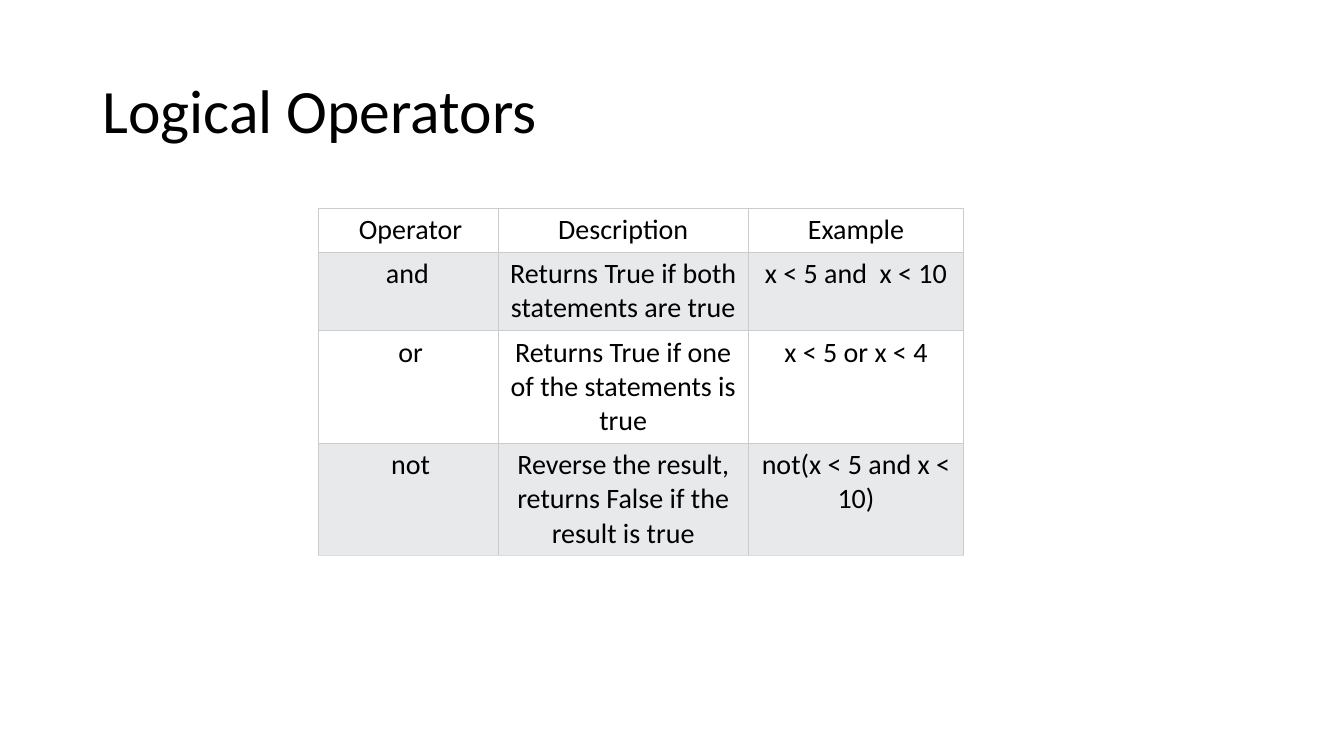
from dataclasses import dataclass

from lxml import etree
from pptx import Presentation
from pptx.dml.color import RGBColor
from pptx.enum.text import MSO_ANCHOR, PP_ALIGN
from pptx.oxml.ns import qn
from pptx.util import Pt

LEFT, CENTER = PP_ALIGN.LEFT, PP_ALIGN.CENTER
MIDDLE = MSO_ANCHOR.MIDDLE
BLANK_LAYOUT = 6


@dataclass(frozen=True)
class Theme:
    font: str = "Calibri"
    title_size: float = 44
    cell_size: float = 20
    cell_line: float = 24.4
    text: str = "000000"
    background: str = "FFFFFF"
    band: str = "E7E9EB"
    border: str = "CCCCCC"
    bottom_border: str = "DDDDDD"
    border_width: float = 0.43
    cell_margin: float = 3.6
    first_margin: float = 7.2


THEME = Theme()

OPERATORS = [
    ("Operator", "Description", "Example"),
    ("and ", "Returns True if both statements are true", "x < 5 and  x < 10"),
    ("or", "Returns True if one of the statements is true", "x < 5 or x < 4"),
    ("not", "Reverse the result, returns False if the result is true",
     "not(x < 5 and x < 10)"),
]
COLUMN_WIDTHS = (128.2, 179.2, 153.4)
ROW_LINES = (1, 2, 3, 3)


def write_text(frame, text, *, size, align=LEFT, spacing=1.0):
    frame.word_wrap = True
    paragraph = frame.paragraphs[0]
    paragraph.alignment = align
    paragraph.line_spacing = spacing
    run = paragraph.add_run()
    run.text = text
    run.font.name = THEME.font
    run.font.size = Pt(size)
    run.font.color.rgb = RGBColor.from_string(THEME.text)


def add_title(slide, text, left, top, width, height):
    shape = slide.shapes.add_textbox(Pt(left), Pt(top), Pt(width), Pt(height))
    shape.text_frame.vertical_anchor = MIDDLE
    write_text(shape.text_frame, text, size=THEME.title_size, spacing=0.9)


def set_borders(cell, bottom_color):
    """Draw all four sides; the lines must come before the fill in the XML."""
    properties = cell._tc.get_or_add_tcPr()
    for position, side in enumerate(("lnL", "lnR", "lnT", "lnB")):
        line = etree.Element(qn(f"a:{side}"), w=str(Pt(THEME.border_width)))
        fill = etree.SubElement(line, qn("a:solidFill"))
        color = bottom_color if side == "lnB" else THEME.border
        etree.SubElement(fill, qn("a:srgbClr"), val=color)
        properties.insert(position, line)


def fill_cell(cell, text, *, fill, left_margin, bottom_color):
    cell.margin_left = Pt(left_margin)
    cell.margin_right = cell.margin_top = cell.margin_bottom = Pt(THEME.cell_margin)
    cell.fill.solid()
    cell.fill.fore_color.rgb = RGBColor.from_string(fill)
    set_borders(cell, bottom_color)
    write_text(cell.text_frame, text, size=THEME.cell_size, align=CENTER)


def add_operator_table(slide, rows, left, top):
    heights = [lines * THEME.cell_line + 2 * THEME.cell_margin for lines in ROW_LINES]
    table = slide.shapes.add_table(
        len(rows), len(COLUMN_WIDTHS), Pt(left), Pt(top),
        Pt(sum(COLUMN_WIDTHS)), Pt(sum(heights))).table
    table.first_row = table.horz_banding = False
    for column, width in zip(table.columns, COLUMN_WIDTHS):
        column.width = Pt(width)
    for row_index, (texts, height) in enumerate(zip(rows, heights)):
        table.rows[row_index].height = Pt(height)
        is_last = row_index == len(rows) - 1
        for column_index, text in enumerate(texts):
            fill_cell(
                table.cell(row_index, column_index), text,
                fill=THEME.band if row_index % 2 else THEME.background,
                left_margin=THEME.cell_margin if column_index else THEME.first_margin,
                bottom_color=THEME.bottom_border if is_last else THEME.border)


def main():
    presentation = Presentation()
    presentation.slide_width, presentation.slide_height = Pt(960), Pt(540)
    slide = presentation.slides.add_slide(presentation.slide_layouts[BLANK_LAYOUT])
    add_title(slide, "Logical Operators", left=66, top=28.75, width=828, height=104.4)
    add_operator_table(slide, OPERATORS, left=227.4, top=148.4)
    presentation.save("out.pptx")


if __name__ == "__main__":
    main()
